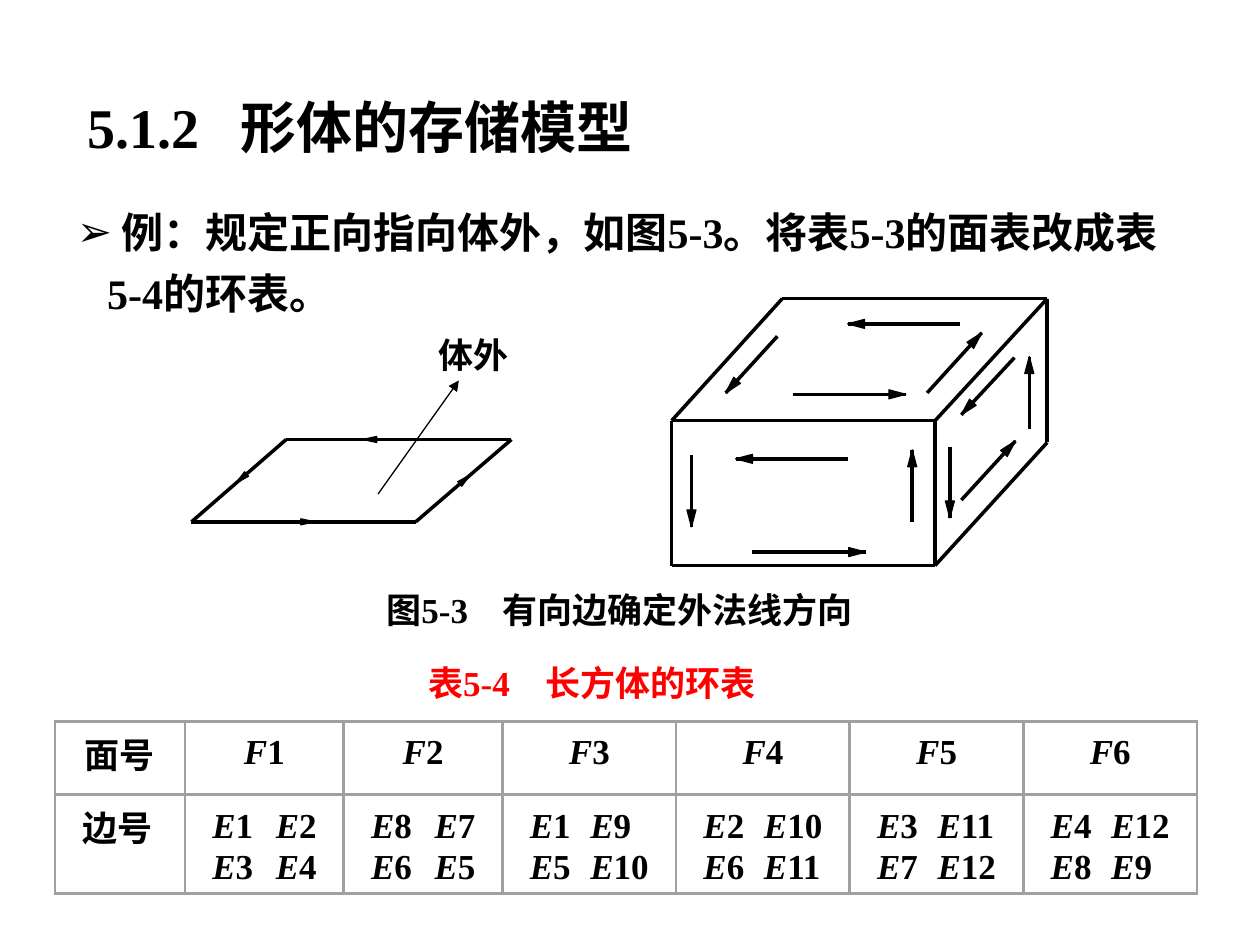
import math
from lxml import etree
from pptx import Presentation
from pptx import util as u
from pptx.dml.color import RGBColor
from pptx.enum import shapes, text
from pptx.oxml.ns import qn

BLACK = RGBColor(0x00, 0x00, 0x00)
RED = RGBColor(0xFF, 0x00, 0x00)
GRAY = RGBColor(0xA0, 0xA0, 0xA0)
SERIF, SANS = "Times New Roman", "DejaVu Sans"

HEADING = ("5.1.2", "形体的存储模型")
EXAMPLE = " 例：规定正向指向体外，如图5-3。将表5-3的面表改成表5-4的环表。"
FIGURE_CAPTION = ("图5-3", "有向边确定外法线方向")
TABLE_CAPTION = ("表5-4", "长方体的环表")
OUTSIDE = "体外"

ROW_LABELS = ("面号", "边号")
LOOPS = [
    ("1", ("1", "2"), ("3", "4")),
    ("2", ("8", "7"), ("6", "5")),
    ("3", ("1", "9"), ("5", "10")),
    ("4", ("2", "10"), ("6", "11")),
    ("5", ("3", "11"), ("7", "12")),
    ("6", ("4", "12"), ("8", "9")),
]
COLUMN_WIDTHS = [2.62, 3.2, 3.2] + [3.5] * 4
ROW_HEIGHTS = [1.47, 1.88]

FRONT = [(13.54, 8.48), (18.85, 8.48), (18.85, 11.4), (13.54, 11.4)]
BACK = [(15.77, 6.02), (21.11, 6.02), (21.11, 8.92)]
CUBE_EDGES = list(zip(FRONT, FRONT[1:] + FRONT[:1])) + list(zip(BACK, BACK[1:])) + list(zip(FRONT, BACK))
CUBE_ARROWS = [
    ((19.35, 6.53), (17.09, 6.53)),
    ((15.67, 6.78), (14.63, 7.92)),
    ((15.98, 7.95), (18.26, 7.95)),
    ((18.69, 7.92), (19.79, 6.71)),
    ((20.75, 8.64), (20.75, 7.19)),
    ((20.45, 7.21), (19.38, 8.36)),
    ((19.15, 9.02), (19.15, 10.44)),
    ((19.38, 10.08), (20.47, 8.89)),
    ((17.09, 9.25), (14.83, 9.25)),
    ((13.94, 9.17), (13.94, 10.62)),
    ((15.16, 11.13), (17.45, 11.13)),
    ((18.39, 10.52), (18.39, 9.07)),
]
FACE = [(10.31, 8.86), (5.77, 8.86), (3.86, 10.52), (8.38, 10.52)]
FACE_TIPS = [0.66, 0.53, 0.55, 0.57]
NORMAL = ((7.62, 9.96), (9.25, 7.67))

deck = Presentation()
deck.slide_width, deck.slide_height = u.Cm(25.4), u.Cm(19.05)
slide = deck.slides.add_slide(deck.slide_layouts[5])


def add_run(paragraph, words, size, color=BLACK, font=SERIF, italic=False):
    run = paragraph.add_run()
    run.text = words
    run.font.size, run.font.name = u.Pt(size), font
    run.font.bold, run.font.italic = True, italic
    run.font.color.rgb = color


def add_tab(paragraph, position):
    stops = etree.SubElement(paragraph._p.get_or_add_pPr(), qn("a:tabLst"))
    etree.SubElement(stops, qn("a:tab"), pos=str(u.Cm(position)), algn="l")


def add_box(left, top, width, height):
    frame = slide.shapes.add_textbox(*map(u.Cm, (left, top, width, height))).text_frame
    frame.word_wrap = True
    return frame.paragraphs[0]


def add_numbered(paragraph, parts, tab, size, color=BLACK):
    add_tab(paragraph, tab)
    add_run(paragraph, "\t".join(parts), size, color)


def add_line(start, end, width=0):
    line = slide.shapes.add_connector(shapes.MSO_CONNECTOR.STRAIGHT, *map(u.Cm, start + end))
    line.line.color.rgb = BLACK
    line.line.width = u.Pt(width)
    etree.SubElement(line._element.spPr, qn("a:effectLst"))
    return line


def add_head(start, tip, length, half):
    span = math.dist(start, tip)
    dx, dy = (tip[0] - start[0]) / span, (tip[1] - start[1]) / span
    base_x, base_y = tip[0] - dx * length, tip[1] - dy * length
    corners = [tip, (base_x - dy * half, base_y + dx * half), (base_x + dy * half, base_y - dx * half)]
    points = [(u.Cm(x), u.Cm(y)) for x, y in corners]
    builder = slide.shapes.build_freeform(*points[0])
    builder.add_line_segments(points[1:], close=True)
    head = builder.convert_to_shape()
    head.shadow.inherit = False
    head.fill.solid()
    head.fill.fore_color.rgb = head.line.color.rgb = BLACK
    head.line.width = u.Pt(0)


def style_cell(cell):
    cell.margin_left = cell.margin_right = u.Cm(0.55)
    cell.margin_top, cell.margin_bottom = u.Cm(0.23), 0
    properties = cell._tc.get_or_add_tcPr()
    for side in ("a:lnL", "a:lnR", "a:lnT", "a:lnB"):
        border = etree.SubElement(properties, qn(side), w=str(u.Pt(1.75)))
        solid = etree.SubElement(border, qn("a:solidFill"))
        etree.SubElement(solid, qn("a:srgbClr"), val=str(GRAY))
    cell.fill.background()


title = slide.shapes.title
title.left, title.top, title.width, title.height = map(u.Cm, (1.5, 1.73, 16.8, 1.63))
title.text_frame.vertical_anchor = text.MSO_ANCHOR.TOP
heading = title.text_frame.paragraphs[0]
heading.alignment = text.PP_ALIGN.LEFT
add_numbered(heading, HEADING, 3.1, 32)

example = add_box(1.3, 3.84, 22.8, 2.69)
example.line_spacing = 1.2
bullet = example._p.get_or_add_pPr()
bullet.set("marL", str(u.Cm(0.61)))
bullet.set("indent", str(-u.Cm(0.61)))
etree.SubElement(bullet, qn("a:buFont"), typeface=SANS)
etree.SubElement(bullet, qn("a:buChar"), char="➢")
add_run(example, EXAMPLE, 24)

for start, end in CUBE_EDGES:
    add_line(start, end)
for start, tip in CUBE_ARROWS:
    add_line(start, tip)
    add_head(start, tip, 0.34, 0.09)
for start, end, share in zip(FACE, FACE[1:] + FACE[:1], FACE_TIPS):
    add_line(start, end)
    tip = tuple(a + (b - a) * share for a, b in zip(start, end))
    add_head(start, tip, 0.28, 0.06)

normal = add_line(*NORMAL, width=0.75)
etree.SubElement(normal.line._get_or_add_ln(), qn("a:tailEnd"), type="triangle")
add_run(add_box(8.59, 6.6, 4.29, 1.73), OUTSIDE, 20, font=SANS)

add_numbered(add_box(7.54, 11.73, 12.9, 1.2), FIGURE_CAPTION, 2.34, 20)
add_numbered(add_box(8.38, 13.21, 8.71, 1.12), TABLE_CAPTION, 2.36, 20, RED)

table_frame = slide.shapes.add_table(
    2, len(COLUMN_WIDTHS), u.Cm(1.11), u.Cm(14.55), u.Cm(sum(COLUMN_WIDTHS)), u.Cm(sum(ROW_HEIGHTS)))
loop_table = table_frame.table
loop_table.first_row = loop_table.horz_banding = False
for column, width in zip(loop_table.columns, COLUMN_WIDTHS):
    column.width = u.Cm(width)
for row, height in zip(loop_table.rows, ROW_HEIGHTS):
    row.height = u.Cm(height)
for cell in loop_table.iter_cells():
    style_cell(cell)

for index, label in enumerate(ROW_LABELS):
    label_cell = loop_table.cell(index, 0)
    label_cell.margin_right = u.Cm(0.25)
    label_cell.margin_top = u.Cm(0.13)
    add_run(label_cell.text_frame.paragraphs[0], label, 20)
loop_table.cell(0, 0).margin_left = u.Cm(0.25)
loop_table.cell(0, 0).text_frame.paragraphs[0].alignment = text.PP_ALIGN.CENTER

for index, (face, *edge_pairs) in enumerate(LOOPS, start=1):
    face_name = loop_table.cell(0, index).text_frame.paragraphs[0]
    face_name.alignment = text.PP_ALIGN.CENTER
    add_run(face_name, "F", 20, italic=True)
    add_run(face_name, face, 20)
    edges_cell = loop_table.cell(1, index)
    edges_cell.margin_right = 0
    edges_frame = edges_cell.text_frame
    for number, (first, second) in enumerate(edge_pairs):
        line = edges_frame.add_paragraph() if number else edges_frame.paragraphs[0]
        line.line_spacing = 1.04
        add_tab(line, 1.28 if index < 3 else 1.22)
        add_run(line, "E", 20, italic=True)
        add_run(line, first + "\t", 20)
        add_run(line, "E", 20, italic=True)
        add_run(line, second, 20)

deck.save("out.pptx")
